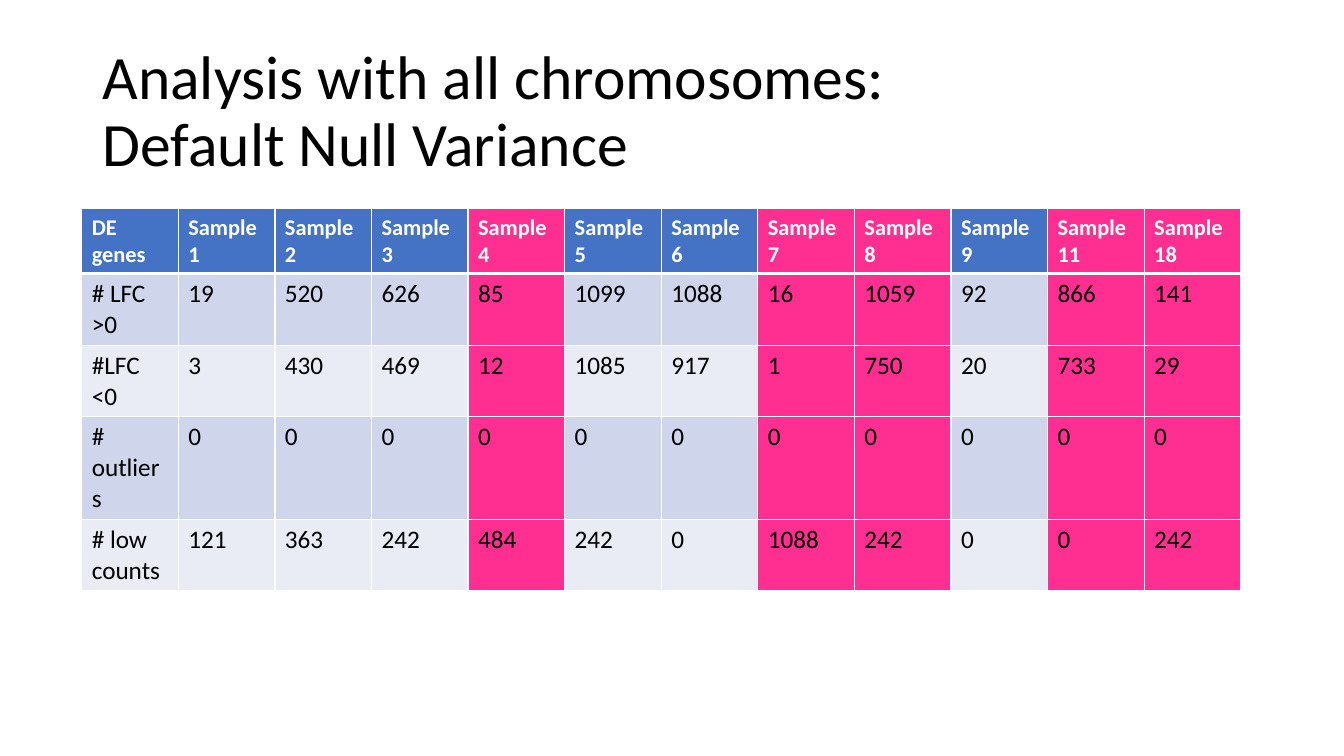
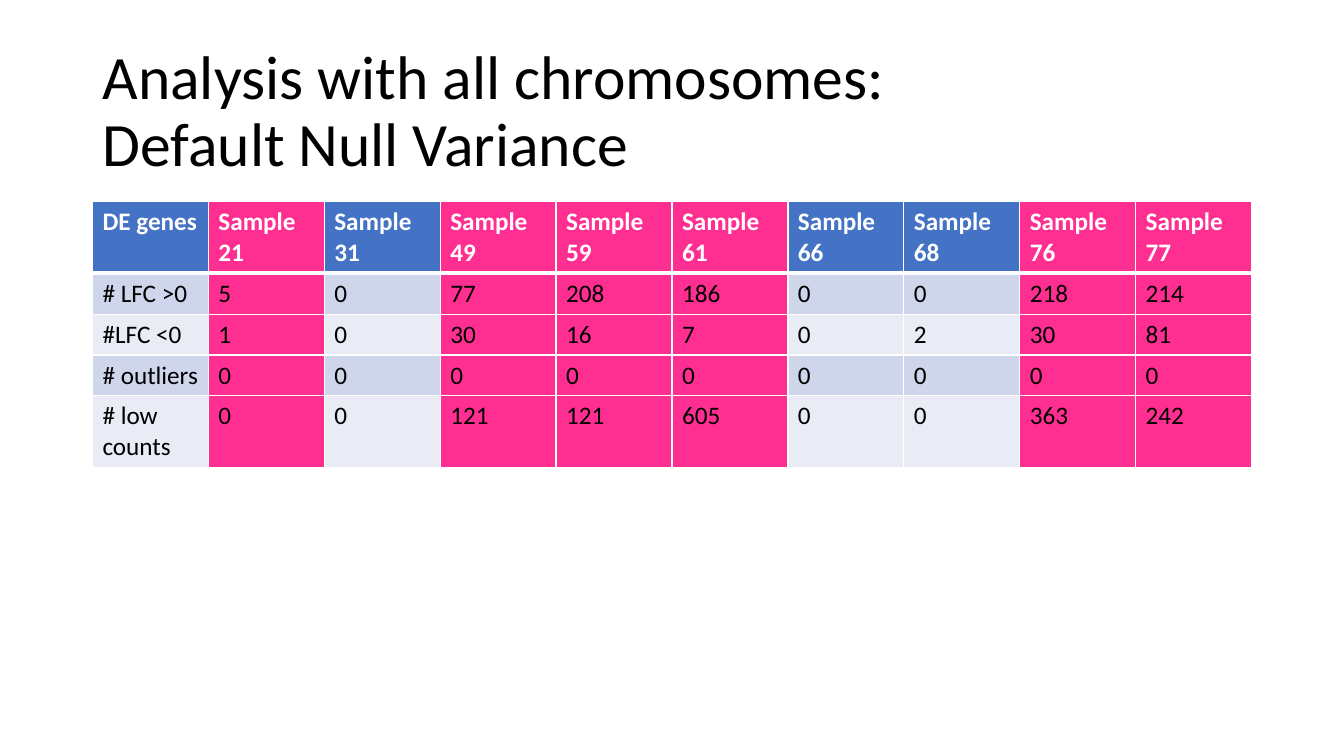
"""Build two slides of differential-expression counts per sample."""
from lxml.etree import SubElement
from pptx import Presentation
from pptx.dml.color import RGBColor
from pptx.enum.text import MSO_ANCHOR, MSO_AUTO_SIZE, PP_ALIGN
from pptx.oxml.ns import qn
from pptx.util import Cm, Pt

FONT = "Calibri"
COLORS = {"header": "4472C4", "flagged": "FF2F92", "odd": "CFD5EA",
          "even": "E9EBF5", "white": "FFFFFF", "black": "000000"}
TITLE = "Analysis with all chromosomes:\vDefault Null Variance"
LABELS = ["# LFC >0", "#LFC <0", "# outliers", "# low counts"]
TABLE_WIDTH, ROW_HEIGHT = 29.21, 1.03

SLIDES = [
    {"left": 2.06, "top": 5.26, "header_size": 16,
     "samples": [1, 2, 3, 4, 5, 6, 7, 8, 9, 11, 18],
     "flagged": {4, 7, 8, 11, 18},
     "counts": [[19, 520, 626, 85, 1099, 1088, 16, 1059, 92, 866, 141],
                [3, 430, 469, 12, 1085, 917, 1, 750, 20, 733, 29],
                [0] * 11,
                [121, 363, 242, 484, 242, 0, 1088, 242, 0, 0, 242]]},
    {"left": 2.33, "top": 5.08, "header_size": 18,
     "samples": [21, 31, 49, 59, 61, 66, 68, 76, 77],
     "flagged": {21, 49, 59, 61, 76, 77},
     "counts": [[5, 0, 77, 208, 186, 0, 0, 218, 214],
                [1, 0, 30, 16, 7, 0, 2, 30, 81],
                [0] * 9,
                [0, 0, 121, 121, 605, 0, 0, 363, 242]]},
]


def rgb(name):
    return RGBColor.from_string(COLORS[name])


def set_font(p, size, color, bold=False):
    p.font.name, p.font.size, p.font.bold = FONT, Pt(size), bold
    p.font.color.rgb = rgb(color)


def add_title(s):
    sp = s.shapes.title
    sp.left, sp.top, sp.width, sp.height = Cm(2.33), Cm(1.01), Cm(29.21), Cm(3.68)
    tf = sp.text_frame
    tf.text = TITLE
    tf.word_wrap, tf.auto_size = True, MSO_AUTO_SIZE.NONE
    tf.vertical_anchor = MSO_ANCHOR.MIDDLE
    p = tf.paragraphs[0]
    p.alignment, p.line_spacing = PP_ALIGN.LEFT, 0.9
    set_font(p, 44, "black")


def set_borders(cell, row):
    widths = {"L": 1, "R": 1, "T": 3 if row == 1 else 1, "B": 3 if row == 0 else 1}
    tc_pr = cell._tc.get_or_add_tcPr()
    for side, width in widths.items():
        ln = SubElement(tc_pr, qn(f"a:ln{side}"), w=str(Pt(width)))
        fill = SubElement(ln, qn("a:solidFill"))
        SubElement(fill, qn("a:srgbClr"), val=COLORS["white"])


def add_counts(s, data):
    header = ["DE genes"] + [f"Sample {n}" for n in data["samples"]]
    rows = [header] + [[label] + counts for label, counts in zip(LABELS, data["counts"])]
    flags = [False] + [n in data["flagged"] for n in data["samples"]]
    table = s.shapes.add_table(len(rows), len(header), Cm(data["left"]), Cm(data["top"]),
                               Cm(TABLE_WIDTH), Cm(ROW_HEIGHT * len(rows))).table
    for column in table.columns:
        column.width = Cm(TABLE_WIDTH / len(header))
    for r, values in enumerate(rows):
        band = "header" if r == 0 else "odd" if r % 2 else "even"
        for c, value in enumerate(values):
            cell = table.cell(r, c)
            cell.text = str(value)
            set_borders(cell, r)
            cell.fill.solid()
            cell.fill.fore_color.rgb = rgb("flagged" if flags[c] else band)
            p = cell.text_frame.paragraphs[0]
            if r == 0:
                set_font(p, data["header_size"], "white", bold=True)
            else:
                set_font(p, 18, "black")


def main():
    prs = Presentation()
    prs.slide_width, prs.slide_height = Cm(33.87), Cm(19.05)
    for data in SLIDES:
        s = prs.slides.add_slide(prs.slide_layouts[5])
        add_title(s)
        add_counts(s, data)
    prs.save("out.pptx")


if __name__ == "__main__":
    main()
